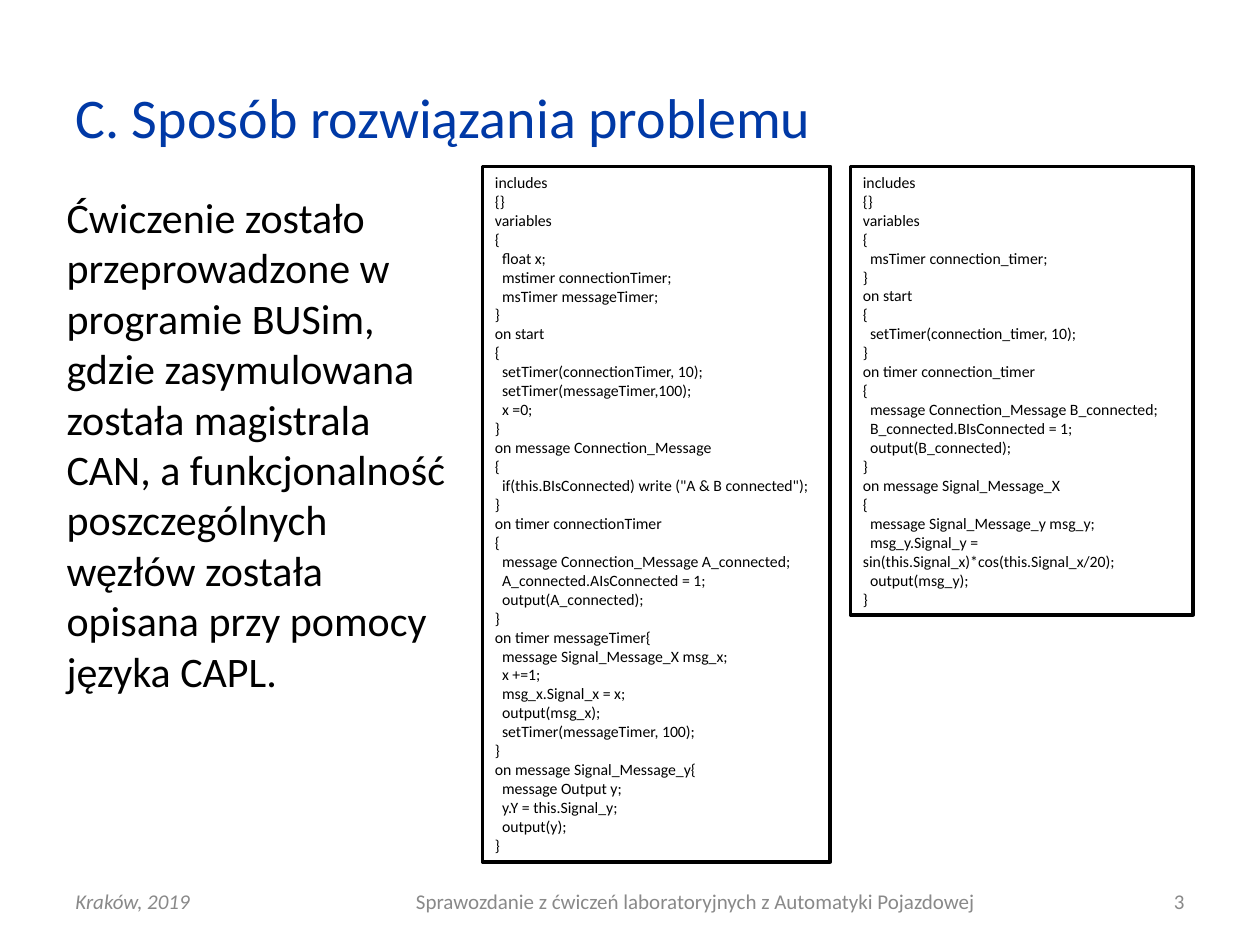
from pptx import Presentation
from pptx.dml.color import RGBColor
from pptx.enum.shapes import MSO_SHAPE
from pptx.enum.text import MSO_ANCHOR, MSO_AUTO_SIZE, PP_ALIGN
from pptx.util import Inches, Pt

BLACK = RGBColor(0x00, 0x00, 0x00)
WHITE = RGBColor(0xFF, 0xFF, 0xFF)
BLUE = RGBColor(0x00, 0x39, 0xA6)
GREY = RGBColor(0x89, 0x89, 0x89)

BODY = (
    "Ćwiczenie zostało przeprowadzone w programie BUSim, gdzie zasymulowana "
    "została magistrala CAN, a funkcjonalność poszczególnych węzłów została "
    "opisana przy pomocy języka CAPL."
)

NODE_A_CODE = """includes
{}
variables
{
  float x;
  mstimer connectionTimer;
  msTimer messageTimer;
}
on start
{
  setTimer(connectionTimer, 10);
  setTimer(messageTimer,100);
  x =0;
}
on message Connection_Message
{
  if(this.BIsConnected) write ("A & B connected");
}
on timer connectionTimer
{
  message Connection_Message A_connected;
  A_connected.AIsConnected = 1;
  output(A_connected);
}
on timer messageTimer{
  message Signal_Message_X msg_x;
  x +=1;
  msg_x.Signal_x = x;
  output(msg_x);
  setTimer(messageTimer, 100);
}
on message Signal_Message_y{
  message Output y;
  y.Y = this.Signal_y;
  output(y);
}"""

NODE_B_CODE = """includes
{}
variables
{
  msTimer connection_timer;
}
on start
{
  setTimer(connection_timer, 10);
}
on timer connection_timer
{
  message Connection_Message B_connected;
  B_connected.BIsConnected = 1;
  output(B_connected);
}
on message Signal_Message_X
{
  message Signal_Message_y msg_y;
  msg_y.Signal_y = sin(this.Signal_x)*cos(this.Signal_x/20);
  output(msg_y);
}"""


def write_text(shape, text, size, color, align=PP_ALIGN.LEFT, anchor=MSO_ANCHOR.TOP):
    frame = shape.text_frame
    frame.word_wrap = True
    frame.vertical_anchor = anchor
    frame.text = text
    for para in frame.paragraphs:
        para.alignment = align
        para.font.name = "Calibri"
        para.font.size = Pt(size)
        para.font.color.rgb = color
    return frame


def add_title(page, left, top, width, height):
    box = page.shapes.add_textbox(left, top, width, height)
    write_text(box, "C. Sposób rozwiązania problemu", 32, BLUE, anchor=MSO_ANCHOR.MIDDLE)


def add_body(page, left, top, width, height):
    box = page.shapes.add_textbox(left, top, width, height)
    frame = write_text(box, BODY, 24, BLACK)
    frame.paragraphs[0].space_before = Pt(6)


def add_code_panel(page, code, left, top, width, height):
    panel = page.shapes.add_shape(MSO_SHAPE.RECTANGLE, left, top, width, height)
    panel.shadow.inherit = False
    panel.fill.solid()
    panel.fill.fore_color.rgb = WHITE
    panel.line.color.rgb = BLACK
    panel.line.width = Pt(2)
    frame = write_text(panel, code, 9, BLACK)
    frame.auto_size = MSO_AUTO_SIZE.SHAPE_TO_FIT_TEXT


def add_footer(page, left, top, width, height):
    parts = [
        ("Kraków, 2019", 0, Inches(2.33), PP_ALIGN.LEFT, True),
        (
            "Sprawozdanie z ćwiczeń laboratoryjnych z Automatyki Pojazdowej",
            Inches(2.46), Inches(5.12), PP_ALIGN.CENTER, False,
        ),
        ("3", width - Inches(1.22), Inches(1.22), PP_ALIGN.RIGHT, False),
    ]
    for text, offset, part_width, align, italic in parts:
        box = page.shapes.add_textbox(left + offset, top, part_width, height)
        frame = write_text(box, text, 12, GREY, align, MSO_ANCHOR.MIDDLE)
        frame.paragraphs[0].font.italic = italic


def main():
    deck = Presentation()
    deck.slide_width = Inches(10)
    deck.slide_height = Inches(7.5)
    page = deck.slides.add_slide(deck.slide_layouts[6])
    add_title(page, Inches(0.5), Inches(0.3), Inches(9), Inches(1.25))
    add_body(page, Inches(0.43), Inches(1.47), Inches(3.27), Inches(4.65))
    add_footer(page, Inches(0.5), Inches(6.95), Inches(9), Inches(0.4))
    add_code_panel(page, NODE_A_CODE, Inches(3.83), Inches(1.32), Inches(2.76), Inches(5.52))
    add_code_panel(page, NODE_B_CODE, Inches(6.75), Inches(1.32), Inches(2.72), Inches(3.56))
    deck.save("out.pptx")


if __name__ == "__main__":
    main()
